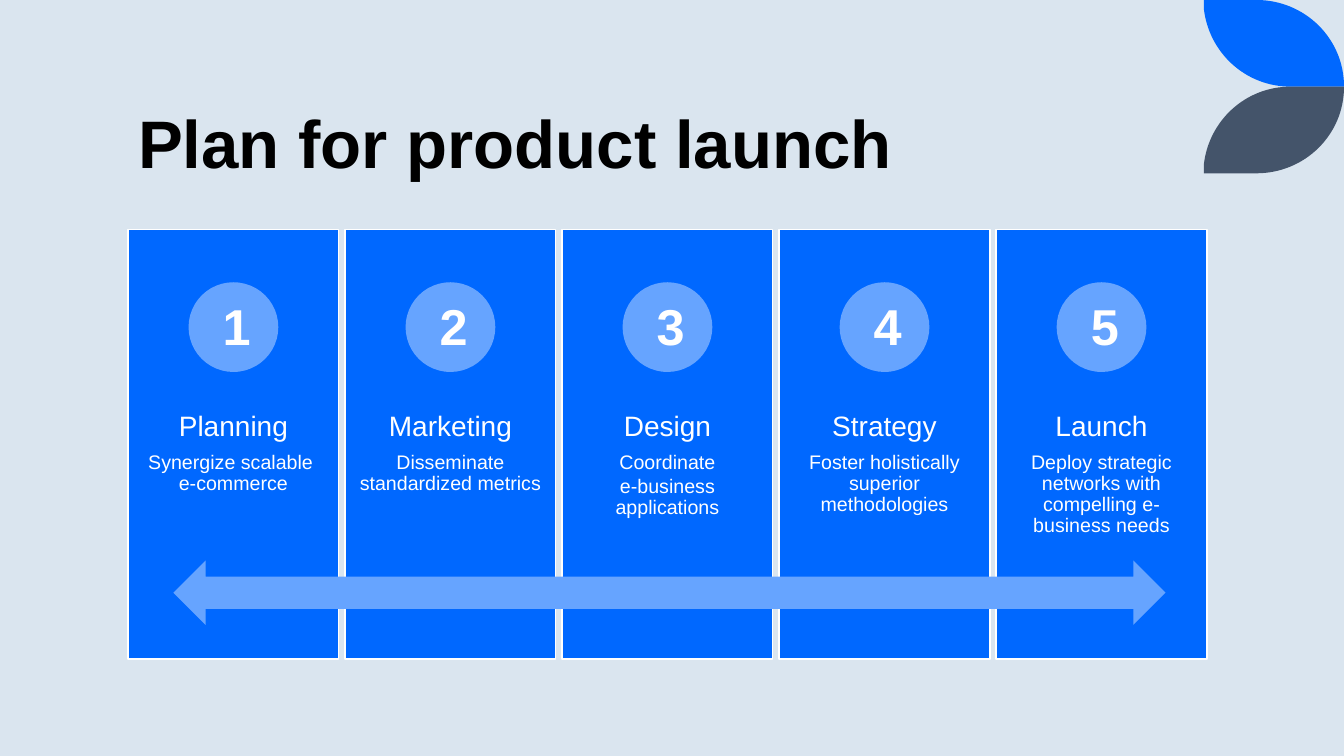
import pptx
import pptx.util
import pptx.dml.color
import pptx.enum.shapes
import pptx.enum.text
import pptx.oxml
import pptx.oxml.ns

Inches = pptx.util.Inches
Pt = pptx.util.Pt
Shape = pptx.enum.shapes.MSO_SHAPE
Align = pptx.enum.text.PP_ALIGN
Anchor = pptx.enum.text.MSO_ANCHOR

COLORS = {
    "background": "DAE5EF",
    "blue": "0068FF",
    "light_blue": "66A4FF",
    "slate": "44546A",
    "white": "FFFFFF",
    "black": "000000",
}
STEPS = [
    ("Planning", ["Synergize scalable \ve-commerce"]),
    ("Marketing", ["Disseminate standardized metrics"]),
    ("Design", ["Coordinate", "e-business applications"]),
    ("Strategy", ["Foster holistically superior methodologies"]),
    ("Launch", ["Deploy strategic networks with compelling e-business needs"]),
]
CARD_PITCH = 8.61 / 4
CARD_WIDTH = 2.09


def color(name):
    return pptx.dml.color.RGBColor.from_string(COLORS[name])


def paint(shape, fill, line=None):
    shape.shadow.inherit = False
    shape.fill.solid()
    shape.fill.fore_color.rgb = color(fill)
    if line:
        shape.line.color.rgb = color(line)
        shape.line.width = Pt(1)
    else:
        shape.line.fill.background()


def add_block(group, kind, left, top, width, height, fill, line=None):
    block = group.shapes.add_shape(
        kind, Inches(left), Inches(top), Inches(width), Inches(height))
    paint(block, fill, line)


def add_text_box(parent, left, top, width, height, inset=None):
    box = parent.shapes.add_textbox(
        Inches(left), Inches(top), Inches(width), Inches(height))
    frame = box.text_frame
    frame.word_wrap = True
    if inset is not None:
        frame.margin_left = frame.margin_right = Inches(inset)
        frame.margin_top = frame.margin_bottom = Inches(inset)
    return frame


def format_para(para, size, tint="white", bold=False, align=Align.CENTER):
    para.alignment = align
    for span in para.runs:
        span.font.name = "Arial"
        span.font.size = Pt(size)
        span.font.bold = bold
        span.font.color.rgb = color(tint)


def bend(leaf, first):
    segments = list(leaf.element.iter(pptx.oxml.ns.qn("a:lnTo")))
    curve = pptx.oxml.parse_xml(
        "<a:cubicBezTo %s/>" % pptx.oxml.ns.nsdecls("a"))
    segments[first].addprevious(curve)
    for segment in segments[first:first + 3]:
        curve.append(segment[0])
        segment.getparent().remove(segment)


def add_leaf(group, left, top, width, height, fill, mirrored=False):
    outline = [
        (0, 0), (0.52, 0), (1, 0), (width, 0.38), (width, height),
        (0.86, height), (0.41, height), (0.05, 0.52), (0, 0.09)]
    placed = [
        (Inches(left + x), Inches(top + (height - y if mirrored else y)))
        for x, y in outline]
    builder = group.shapes.build_freeform(*placed[0])
    builder.add_line_segments(placed[1:], close=True)
    leaf = builder.convert_to_shape()
    for first in (5, 1):
        bend(leaf, first)
    paint(leaf, fill)


def add_corner(page, left, top, width, height):
    group = page.shapes.add_group_shape()
    half = height / 2
    add_leaf(group, left, top, width, half, "blue")
    add_leaf(group, left, top + half, width, half, "slate", mirrored=True)


def add_title(page, left, top, width, height):
    title = page.shapes.title
    title.left, title.top = Inches(left), Inches(top)
    title.width, title.height = Inches(width), Inches(height)
    frame = title.text_frame
    frame.text = "Plan for product launch"
    frame.vertical_anchor = Anchor.BOTTOM
    para = frame.paragraphs[0]
    para.line_spacing = 0.9
    format_para(para, 48, "black", bold=True, align=Align.LEFT)


def add_card(group, left, top, width, height, heading, details):
    add_block(group, Shape.RECTANGLE, left, top, width, height, "blue", "white")

    frame = add_text_box(group, left, top + 1.7, width, 1.7, inset=0.11)
    frame.text = "\n".join([heading] + details)
    for index, para in enumerate(frame.paragraphs):
        para.line_spacing = 0.9
        para.space_after = Pt(2 if index else 7)
        format_para(para, 14 if index else 20)

    disc = 0.89
    add_block(group, Shape.OVAL, left + (width - disc) / 2, top + 0.52,
              disc, disc, "light_blue")


def add_number(page, left, top, number):
    badge = add_text_box(page, left, top, 0.38, 0.71)
    badge.text = str(number)
    format_para(badge.paragraphs[0], 36, bold=True)


def add_steps(page, left, top, height):
    group = page.shapes.add_group_shape()
    lefts = [left + index * CARD_PITCH for index in range(len(STEPS))]
    for card_left, (heading, details) in zip(lefts, STEPS):
        add_card(group, card_left, top, CARD_WIDTH, height, heading, details)
    add_block(group, Shape.LEFT_RIGHT_ARROW, left + 0.45, top + 3.28,
              9.84, 0.64, "light_blue")
    for number, card_left in enumerate(lefts, 1):
        add_number(page, card_left + 0.84, top + 0.6, number)


def main():
    deck = pptx.Presentation()
    deck.slide_width = Inches(13.33)
    deck.slide_height = Inches(7.5)
    page = deck.slides.add_slide(deck.slide_layouts[5])
    page.background.fill.solid()
    page.background.fill.fore_color.rgb = color("background")
    add_corner(page, 11.94, 0, 1.39, 1.72)
    add_title(page, 1.27, 0.15, 10.69, 1.72)
    add_steps(page, 1.27, 2.28, 4.26)
    deck.save("out.pptx")


if __name__ == "__main__":
    main()
